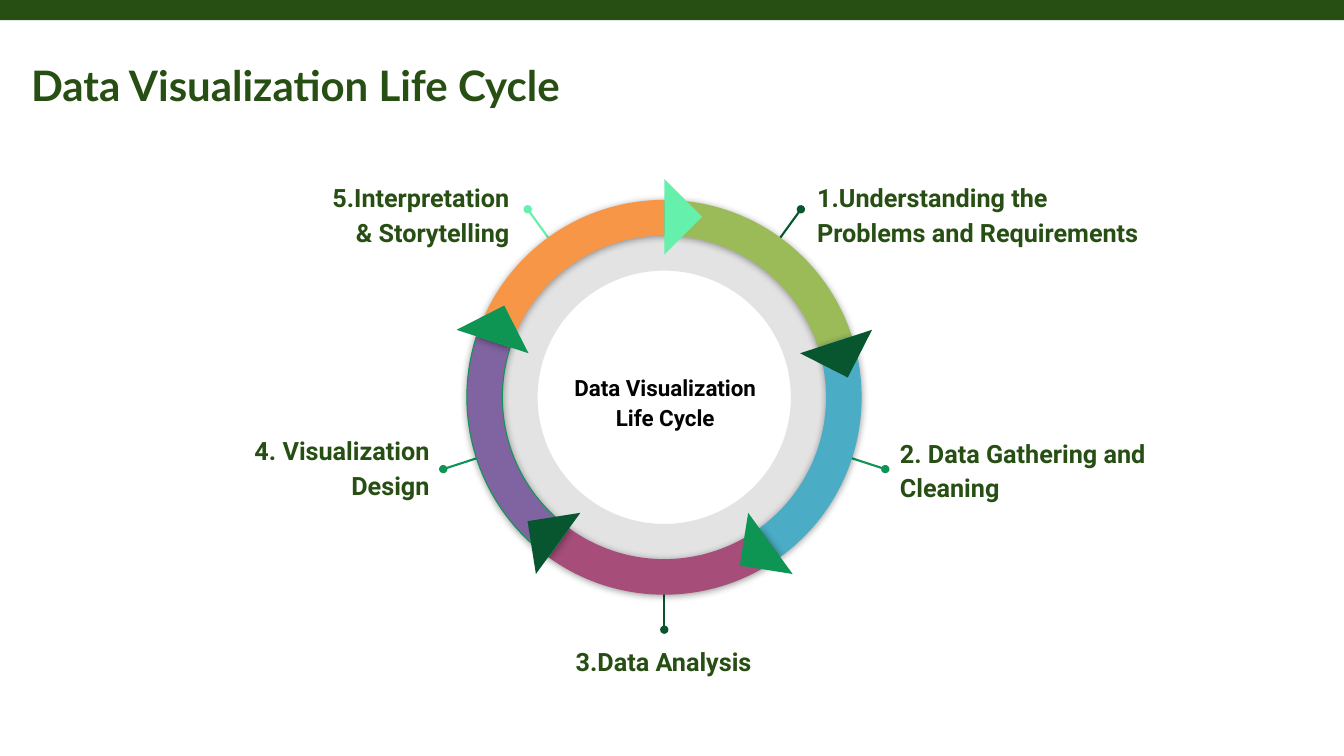
from math import cos, radians, sin

from lxml import etree
from pptx import Presentation
from pptx.dml.color import RGBColor
from pptx.enum.shapes import MSO_CONNECTOR, MSO_SHAPE as SHAPE
from pptx.enum.text import MSO_ANCHOR as ANCHOR, PP_ALIGN as ALIGN
from pptx.oxml import parse_xml
from pptx.oxml.ns import nsdecls, qn
from pptx.util import Pt

COLORS = {
    "title": "274E13", "black": "000000", "center": "020202",
    "dark": "085630", "mid": "0E9453", "light": "65F0AC",
    "green": "9BBB59", "blue": "4BACC6", "plum": "A64D79",
    "purple": "8064A2", "orange": "F79646",
}

CX, CY = 474.5, 283.8
STEP = 72
RING_R = 141
RING_WIDTH = 0.09
HEAD_R, HEAD_SIZE = 129, 38.2
SPOKE_OUTER, SPOKE_INNER = 166, 117
LABEL_H = 70.5

# label, left, top, width, alignment, segment colour, spoke colour
STAGES = [
    ("1.Understanding the Problems and Requirements",
     574.5, 118, 250.5, ALIGN.LEFT, "green", "dark"),
    ("2. Data Gathering and Cleaning",
     633.6, 300.3, 200, ALIGN.LEFT, "blue", "mid"),
    ("3.Data Analysis", 395.5, 449.3, 157, ALIGN.CENTER, "plum", "dark"),
    ("4. Visualization Design",
     159, 298.8, 157, ALIGN.RIGHT, "purple", "mid"),
    ("5.Interpretation & Storytelling",
     216, 118, 157, ALIGN.RIGHT, "orange", "light"),
]
HEAD_COLORS = ["light", "dark", "mid", "dark", "mid"]


def rgb(name):
    return RGBColor.from_string(COLORS[name])


def polar(radius, angle):
    """Point around the ring centre, angle in degrees clockwise from east."""
    a = radians(angle)
    return CX + radius * cos(a), CY + radius * sin(a)


def add_filled(s, kind, x, y, w, h, color):
    sp = s.shapes.add_shape(kind, Pt(x), Pt(y), Pt(w), Pt(h))
    sp.shadow.inherit = False
    sp.fill.solid()
    sp.fill.fore_color.rgb = rgb(color)
    sp.line.fill.background()
    return sp


def add_text(s, text, x, y, w, h, size, color, font="Roboto", align=ALIGN.LEFT,
             anchor=ANCHOR.TOP, spacing=1.15, inset=9.2):
    tf = s.shapes.add_textbox(Pt(x), Pt(y), Pt(w), Pt(h)).text_frame
    tf.word_wrap = True
    tf.vertical_anchor = anchor
    tf.margin_left = tf.margin_right = Pt(inset)
    tf.margin_top = tf.margin_bottom = Pt(inset)
    p = tf.paragraphs[0]
    p.text = text
    p.alignment = align
    p.line_spacing = spacing
    p.font.name, p.font.size, p.font.bold = font, Pt(size), True
    p.font.color.rgb = rgb(color)


def add_spoke(s, angle, color):
    ends = polar(SPOKE_OUTER, angle) + polar(SPOKE_INNER, angle)
    line = s.shapes.add_connector(MSO_CONNECTOR.STRAIGHT, *map(Pt, ends))
    line.line.color.rgb = rgb(color)
    line.line.width = Pt(1.5)
    etree.SubElement(line.line._get_or_add_ln(), qn("a:headEnd"), type="oval")
    etree.SubElement(line.element.spPr, qn("a:effectLst"))


def add_inner_ring(s):
    r = 133
    sp = add_filled(s, SHAPE.DONUT, CX - r, CY - r, 2 * r, 2 * r, "black")
    sp.adjustments[0] = 0.16
    tint = sp.element.spPr.find(qn("a:solidFill")).find(qn("a:srgbClr"))
    etree.SubElement(tint, qn("a:alpha"), val="11000")


def add_segment(s, start, color):
    """Arc of one step, clockwise from the start angle, with a soft shadow."""
    sp = add_filled(s, SHAPE.BLOCK_ARC, CX - RING_R, CY - RING_R,
                    2 * RING_R, 2 * RING_R, color)
    for i, angle in enumerate((start, start + STEP)):
        sp.adjustments[i] = angle % 360 * 0.6
    sp.adjustments[2] = RING_WIDTH
    sp.element.spPr.find(qn("a:effectLst")).append(parse_xml(
        f'<a:outerShdw {nsdecls("a")} blurRad="{Pt(5.6)}" dist="{Pt(0.8)}" '
        'dir="5400000" rotWithShape="0"><a:srgbClr val="000000">'
        '<a:alpha val="40000"/></a:srgbClr></a:outerShdw>'))
    return sp


def add_head(s, angle, color):
    x, y = polar(HEAD_R, angle)
    sp = add_filled(s, SHAPE.RIGHT_TRIANGLE, x - HEAD_SIZE / 2,
                    y - HEAD_SIZE / 2, HEAD_SIZE, HEAD_SIZE, color)
    sp.rotation = (angle - 45) % 360


def main():
    prs = Presentation()
    prs.slide_width, prs.slide_height = Pt(960), Pt(540)
    s = prs.slides.add_slide(prs.slide_layouts[6])

    add_filled(s, SHAPE.RECTANGLE, 0, 0, 960, 14.4, "title")
    add_inner_ring(s)
    starts = [270 + STEP * i for i in range(len(STAGES))]
    for start, (text, x, y, w, align, _, spoke) in zip(starts, STAGES):
        add_spoke(s, start + STEP / 2, spoke)
        add_text(s, text, x, y, w, LABEL_H, 18, "title", align=align)
    for start, stage in zip(starts, STAGES):
        segment = add_segment(s, start, stage[5])
        if stage[5] == "purple":
            segment.line.color.rgb = rgb("mid")
            segment.line.width = Pt(0.75)
    for start, color in zip(starts, HEAD_COLORS):
        add_head(s, start, color)

    add_text(s, "Data Visualization Life Cycle", 399.6, 244, 151.2, 84.2, 16,
             "center", align=ALIGN.CENTER, anchor=ANCHOR.MIDDLE)
    add_text(s, "Data Visualization Life Cycle", 15.1, 35.3, 465.8, 55.4, 30,
             "title", font="Lato", spacing=1.0, inset=7.2)
    prs.save("out.pptx")


if __name__ == "__main__":
    main()
